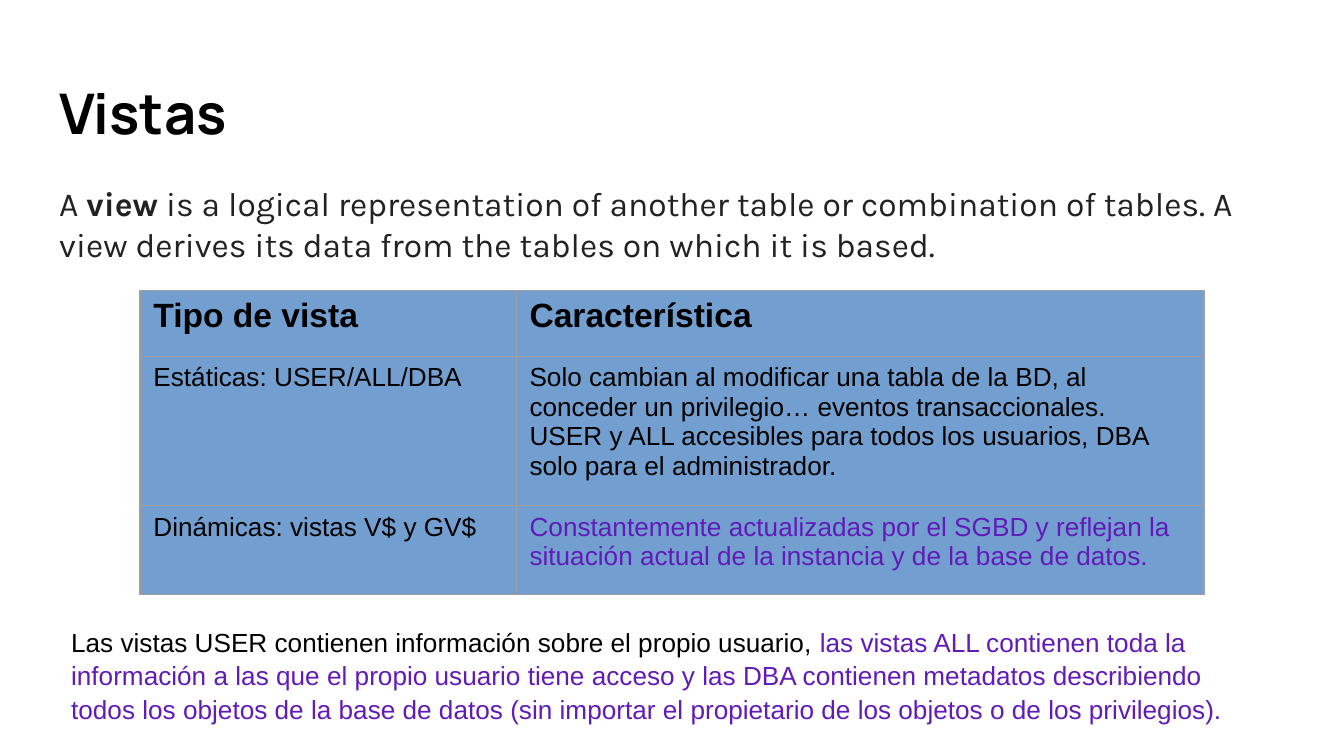
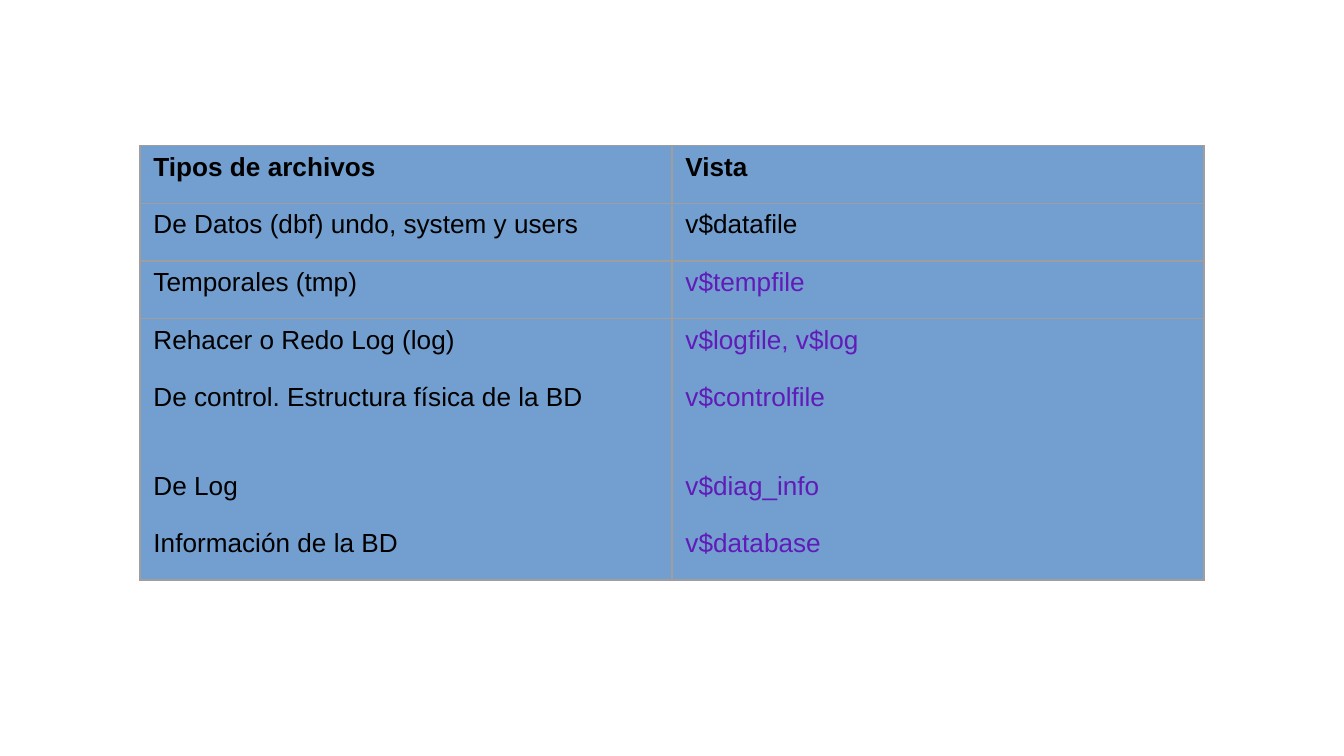
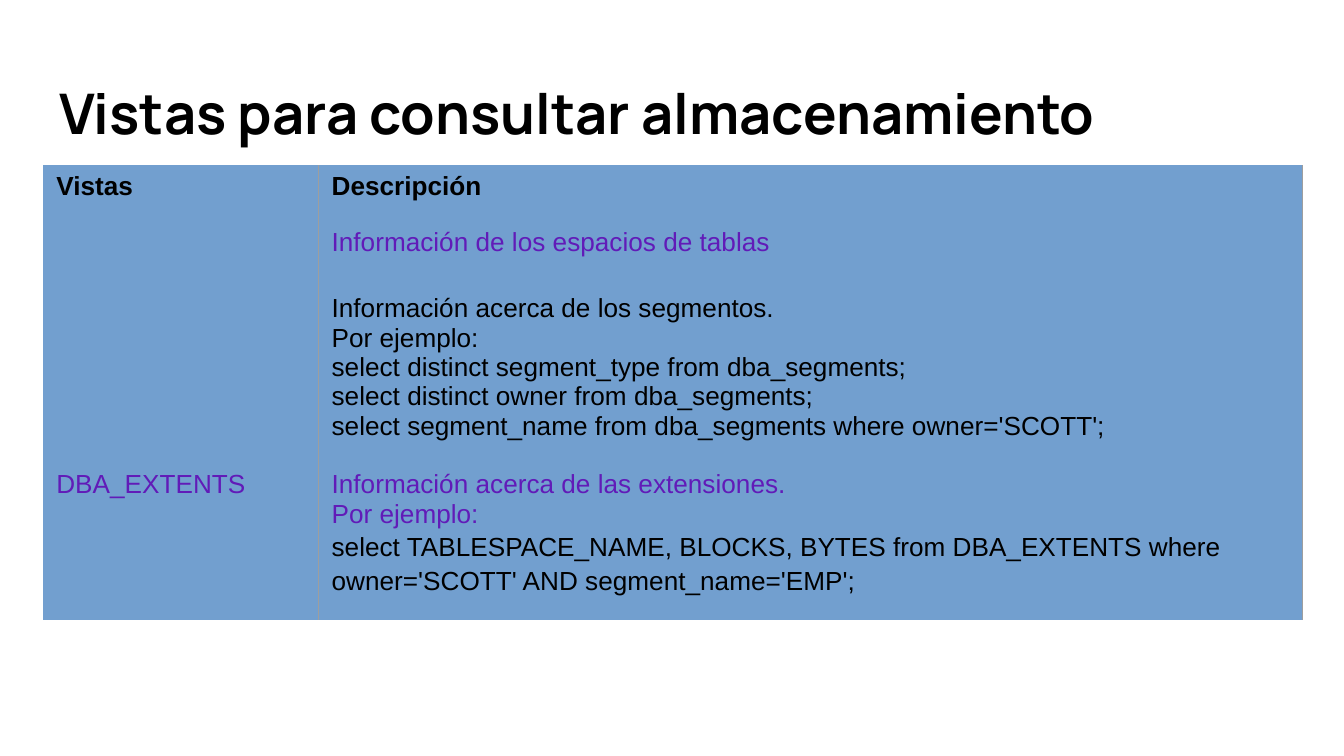
from dataclasses import dataclass

from lxml.etree import SubElement
from pptx import Presentation
from pptx.dml.color import RGBColor
from pptx.enum.text import MSO_ANCHOR as Anchor, MSO_AUTO_SIZE as AutoSize, PP_ALIGN as Align
from pptx.oxml.ns import qn
from pptx.util import Pt

BLACK = RGBColor(0x00, 0x00, 0x00)
CHARCOAL = RGBColor(0x22, 0x22, 0x22)
PURPLE = RGBColor(0x61, 0x1B, 0xB8)
CELL_BLUE = RGBColor(0x72, 0x9F, 0xCF)
BORDER_GREY = RGBColor(0x9E, 0x9E, 0x9E)

TITLE_FONT, BODY_FONT, TABLE_FONT = "Manrope", "Karla", "Arial"
TITLE_AND_BODY, TITLE_ONLY, BLANK = 1, 5, 6
INSET = 7.2


@dataclass
class Line:
    """One paragraph of a table cell."""
    text: str
    color: RGBColor = BLACK
    spacing: float = 1.0


def purple(text):
    return Line(text, PURPLE)


class Deck:
    """Holds the shared style and the page being built."""

    def __init__(self):
        self.deck = Presentation()
        self.deck.slide_width, self.deck.slide_height = Pt(720), Pt(405)
        self.page = None

    def add_page(self, layout):
        self.page = self.deck.slides.add_slide(self.deck.slide_layouts[layout])

    def style(self, para, font, size, color=None, bold=None):
        para.font.name, para.font.size = font, Pt(size)
        if color is not None:
            para.font.color.rgb = color
        if bold is not None:
            para.font.bold = bold

    def place(self, box, left, top, width, height, anchor=Anchor.TOP):
        box.left, box.top, box.width, box.height = map(Pt, (left, top, width, height))
        frame = box.text_frame
        frame.word_wrap, frame.auto_size = True, AutoSize.NONE
        frame.vertical_anchor = anchor
        frame.margin_left = frame.margin_right = Pt(INSET)
        frame.margin_top = frame.margin_bottom = Pt(INSET)
        return frame.paragraphs[0]

    def title(self, text):
        para = self.place(self.page.shapes.title, 24.5, 35.5, 671, 49, Anchor.MIDDLE)
        para.text, para.alignment = text, Align.LEFT
        self.style(para, TITLE_FONT, 30, BLACK, True)

    def body(self, spans):
        para = self.place(self.page.placeholders[1], 24.5, 91, 671, 57.5)
        properties = para._p.get_or_add_pPr()
        properties.set("marL", "0")
        properties.set("indent", "0")
        SubElement(properties, qn("a:buNone"))
        para.space_before, para.space_after = Pt(0), Pt(16)
        self.style(para, BODY_FONT, 18, CHARCOAL)
        for text, bold in spans:
            span = para.add_run()
            span.text, span.font.bold = text, bold

    def note(self, left, top, width, height, spans):
        box = self.page.shapes.add_textbox(0, 0, 0, 0)
        para = self.place(box, left, top, width, height)
        para.line_spacing = 1.07
        self.style(para, TABLE_FONT, 14)
        for text, color in spans:
            span = para.add_run()
            span.text, span.font.color.rgb = text, color

    def border(self, cell, side, visible):
        edge = SubElement(cell._tc.get_or_add_tcPr(), qn(f"a:ln{side}"), w=str(Pt(0.75)))
        if visible:
            fill = SubElement(edge, qn("a:solidFill"))
            SubElement(fill, qn("a:srgbClr"), val=str(BORDER_GREY))
        else:
            SubElement(edge, qn("a:noFill"))

    def fill_cell(self, cell, content, size, bold):
        cell.fill.solid()
        cell.fill.fore_color.rgb = CELL_BLUE
        lines = content if isinstance(content, list) else [content]
        for index, line in enumerate(lines):
            line = Line(line) if isinstance(line, str) else line
            frame = cell.text_frame
            para = frame.add_paragraph() if index else frame.paragraphs[0]
            if line.text:
                para.text = line.text
            if line.spacing != 1:
                para.line_spacing = line.spacing
            self.style(para, TABLE_FONT, size, line.color, bold)

    def table(self, left, top, widths, heights, rows, across, down, header_size=14):
        """across and down number the ruled grid lines, from the top and the left."""
        frame = self.page.shapes.add_table(len(rows), len(widths), Pt(left), Pt(top),
                                           Pt(sum(widths)), Pt(sum(heights)))
        table = frame.table
        table.first_row = table.horz_banding = False
        for column, width in zip(table.columns, widths):
            column.width = Pt(width)
        for r, (height, contents) in enumerate(zip(heights, rows)):
            table.rows[r].height = Pt(height)
            for c, content in enumerate(contents):
                cell = table.cell(r, c)
                for side, visible in (("L", c in down), ("R", c + 1 in down),
                                      ("T", r in across), ("B", r + 1 in across)):
                    self.border(cell, side, visible)
                self.fill_cell(cell, content, 14 if r else header_size, r == 0)


def views_page(deck):
    deck.add_page(TITLE_AND_BODY)
    deck.title("Vistas")
    deck.body([
        ("A ", False),
        ("view", True),
        (" is a logical representation of another table or combination of tables. "
         "A view derives its data from the tables on which it is based.", False),
    ])
    deck.table(75, 155.5, [201.5, 368.5], [35.5, 80, 47.5], [
        ["Tipo de vista", "Característica"],
        ["Estáticas: USER/ALL/DBA", [
            "Solo cambian al modificar una tabla de la BD, al conceder un privilegio… "
            "eventos transaccionales.",
            "USER y ALL accesibles para todos los usuarios, DBA solo para el administrador.",
        ]],
        ["Dinámicas: vistas V$ y GV$",
         purple("Constantemente actualizadas por el SGBD y reflejan la situación actual "
                "de la instancia y de la base de datos.")],
    ], across=range(4), down=range(3), header_size=18)
    deck.note(31, 327, 654.5, 57.5, [
        ("Las vistas USER contienen información sobre el propio usuario, ", BLACK),
        ("las vistas ALL contienen toda la información a las que el propio usuario tiene "
         "acceso y las DBA contienen metadatos describiendo todos los objetos de la base "
         "de datos (sin importar el propietario de los objetos o de los privilegios).",
         PURPLE),
    ])


def files_page(deck):
    deck.add_page(BLANK)
    deck.table(75, 78, [285, 285], [30.9] * 4 + [47.3] + [30.9] * 2, [
        ["Tipos de archivos", "Vista"],
        ["De Datos (dbf) undo, system y users", "v$datafile"],
        ["Temporales (tmp)", purple("v$tempfile")],
        ["Rehacer o Redo Log (log)", purple("v$logfile, v$log")],
        ["De control. Estructura física de la BD", purple("v$controlfile")],
        ["De Log", purple("v$diag_info")],
        ["Información de la BD", purple("v$database")],
    ], across=(0, 1, 2, 3, 7), down=range(3))


def storage_page(deck):
    deck.add_page(TITLE_ONLY)
    deck.title("Vistas para consultar almacenamiento")
    deck.table(23, 88.5, [147.5, 527.5], [30, 35.4, 94.3, 83.8], [
        ["Vistas", "Descripción"],
        ["", purple("Información de los espacios de tablas")],
        ["", [
            "Información acerca de los segmentos.",
            "Por ejemplo:",
            "select distinct segment_type from dba_segments;",
            "select distinct owner from dba_segments;",
            "select segment_name from dba_segments where owner='SCOTT';",
        ]],
        [purple("DBA_EXTENTS"), [
            purple("Información acerca de las extensiones."),
            purple("Por ejemplo:"),
            Line("select TABLESPACE_NAME, BLOCKS, BYTES from DBA_EXTENTS where "
                 "owner='SCOTT' AND segment_name='EMP';", spacing=1.15),
        ]],
    ], across=(), down=(1, 2))


def main():
    deck = Deck()
    views_page(deck)
    files_page(deck)
    storage_page(deck)
    deck.deck.save("out.pptx")


if __name__ == "__main__":
    main()
